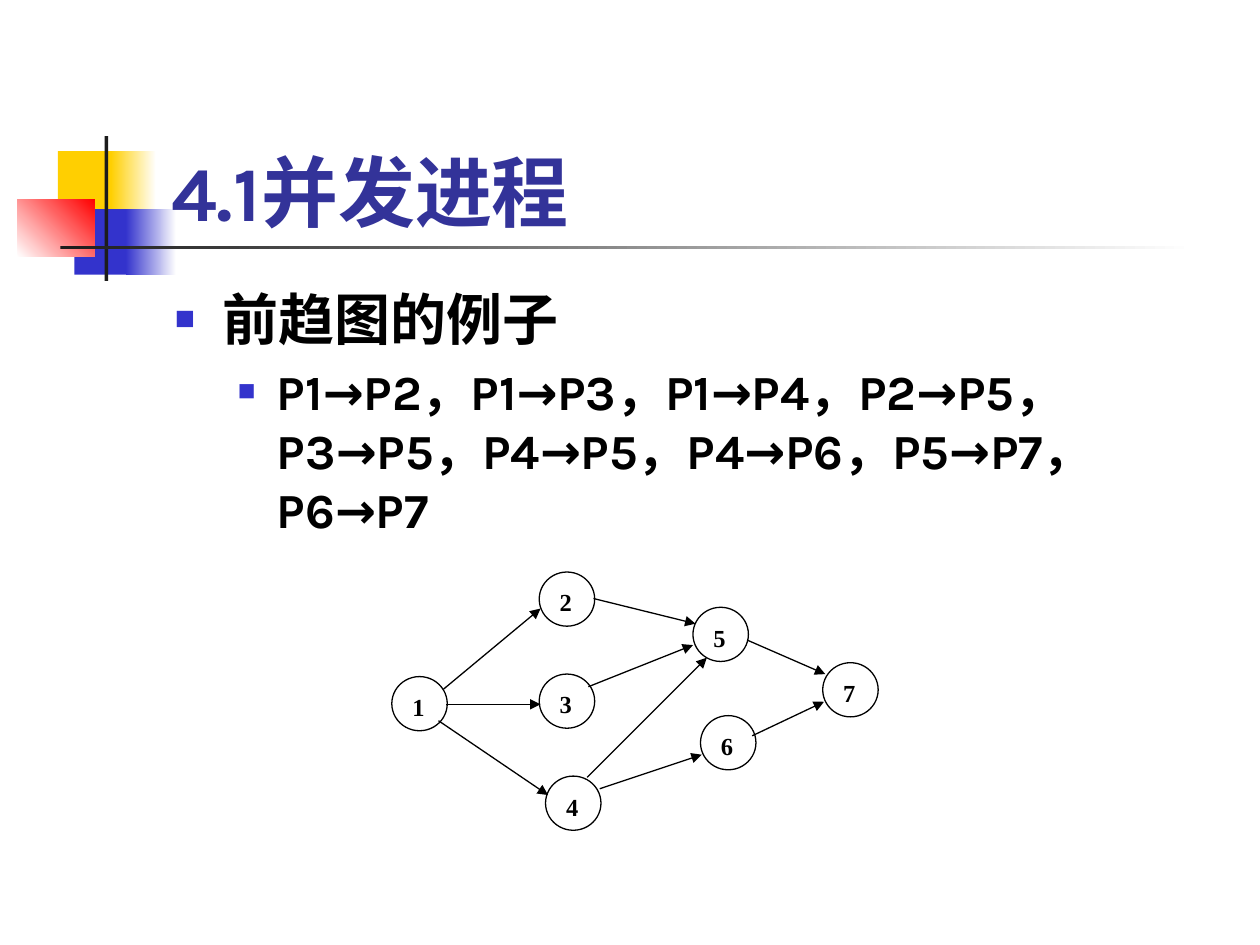
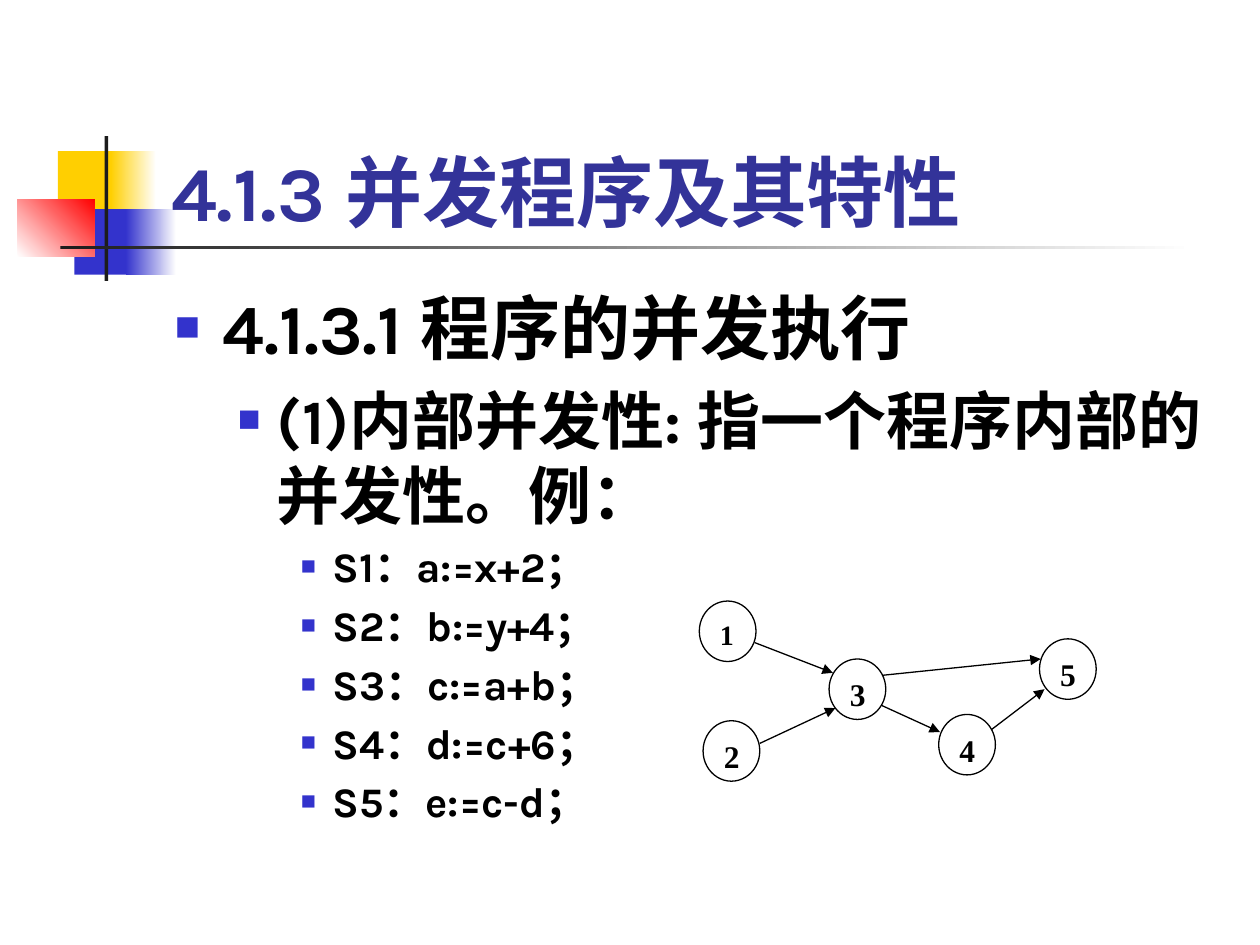
from pptx import Presentation as Deck
from pptx.dml.color import RGBColor as Rgb
from pptx.enum.shapes import MSO_CONNECTOR as Link, MSO_SHAPE as Form
from pptx.enum.text import MSO_ANCHOR as Anchor, PP_ALIGN as Align
from pptx.oxml import parse_xml as to_xml
from pptx.oxml.ns import nsdecls as ns
from pptx.util import Inches, Pt

HUES = {
    "gold": "FFCF01", "blue": "3333CC", "red": "FF0000", "ink": "1C1C1C",
    "head": "333399", "black": "000000", "white": "FFFFFF",
}
SANS, SERIF = "Karla", "Times New Roman"

# Fill is one colour, or (start, end, angle)
DECOR = [
    ((0.46, 1.2, 0.48, 0.52), "gold"),
    ((0.88, 1.2, 0.36, 0.52), ("gold", "white", 0)),
    ((0.59, 1.66, 0.46, 0.52), "blue"),
    ((1, 1.66, 0.4, 0.52), ("blue", "white", 0)),
    ((0.14, 1.58, 0.61, 0.46), ("white", "red", 45)),
    ((0.83, 1.08, 0.03, 1.15), "ink"),
    ((0.48, 1.95, 9, 0.03), ("ink", "white", 0)),
]

# Left margin and first-line indent by outline level
INDENT = [(0.38, -0.38), (0.81, -0.31), (1.25, -0.25)]

# Body lines: (level, size, text)
FLOW_TEXT = [
    (0, 32, "前趋图的例子"),
    (1, 28, "P1→P2，P1→P3，P1→P4，P2→P5，P3→P5，P4→P5，P4→P6，P5→P7，P6→P7"),
]
CODE_TEXT = [
    (0, 40, "4.1.3.1 程序的并发执行"),
    (1, 36, "(1)内部并发性: 指一个程序内部的并发性。例："),
] + [(2, 24, line) for line in (
    "S1：a:=x+2；", "S2：b:=y+4；", "S3：c:=a+b；", "S4：d:=c+6；", "S5：e:=c-d；")]

# Graph nodes: (label, left, top, text size); edges: (x1, y1, x2, y2)
FLOW_NODES = [
    ("1", 3.11, 5.37, 14), ("4", 4.33, 6.16, 14), ("3", 4.28, 5.35, 14),
    ("2", 4.28, 4.54, 14), ("6", 5.56, 5.68, 14), ("5", 5.5, 4.82, 14),
    ("7", 6.53, 5.26, 14),
]
FLOW_EDGES = [
    (3.52, 5.47, 4.29, 4.83), (3.54, 5.59, 4.29, 5.59), (3.48, 5.72, 4.35, 6.31),
    (4.76, 6.26, 5.57, 5.99), (4.67, 5.45, 5.5, 5.12), (4.71, 4.75, 5.52, 4.95),
    (5.93, 5.08, 6.55, 5.35), (5.97, 5.84, 6.54, 5.57), (4.66, 6.17, 5.61, 5.22),
]
CODE_NODES = [
    ("2", 5.58, 5.72, 18), ("1", 5.55, 4.77, 16), ("4", 7.45, 5.67, 18),
    ("3", 6.58, 5.23, 18), ("5", 8.25, 5.07, 18),
]
CODE_EDGES = [
    (7, 5.6, 7.46, 5.81), (6.03, 5.9, 6.63, 5.62), (5.99, 5.1, 6.61, 5.34),
    (7, 5.36, 8.26, 5.23), (7.87, 5.79, 8.29, 5.47),
]


def hue(name):
    return Rgb.from_string(HUES[name])


def style(item, form):
    for key, value in form.items():
        setattr(item, key, value)


def paint(shape, fill):
    """Fill a shape with a plain colour or a two-stop gradient."""
    if isinstance(fill, str):
        shape.fill.solid()
        shape.fill.fore_color.rgb = hue(fill)
        return
    *ends, angle = fill
    shape.fill.gradient()
    shape.fill.gradient_angle = angle
    for pos, (stop, name) in enumerate(zip(shape.fill.gradient_stops, ends)):
        stop.position = pos
        stop.color.rgb = hue(name)


def add_form(shapes, kind, box, fill):
    shape = shapes.add_shape(kind, *map(Inches, box))
    shape.shadow.inherit = False
    paint(shape, fill)
    return shape


def add_run(para, text, size, face, color):
    run = para.add_run()
    run.text = text
    style(run.font, {"size": Pt(size), "name": face, "bold": True})
    run.font.color.rgb = hue(color)


def add_box(slide, box, anchor):
    frame = slide.shapes.add_textbox(*map(Inches, box)).text_frame
    style(frame, {"word_wrap": True, "vertical_anchor": anchor})
    return frame


def add_mark(para, level):
    """Give a paragraph its square bullet and hanging indent."""
    props = para._p.get_or_add_pPr()
    left, hang = INDENT[level]
    props.set("marL", str(Inches(left)))
    props.set("indent", str(Inches(hang)))
    for part in (
        f'<a:buClr {ns("a")}><a:srgbClr val="{HUES["blue"]}"/></a:buClr>',
        f'<a:buSzPct {ns("a")} val="60000"/>',
        f'<a:buFont {ns("a")} typeface="{SERIF}"/>',
        f'<a:buChar {ns("a")} char="■"/>',
    ):
        props.append(to_xml(part))


def add_body(slide, lines):
    frame = add_box(slide, (1.29, 2.21, 8.5, 4.5), Anchor.TOP)
    for num, (level, size, text) in enumerate(lines):
        para = frame.add_paragraph() if num else frame.paragraphs[0]
        add_mark(para, level)
        gap = Pt(size * 0.2) if num else Pt(0)
        style(para, {"level": level, "space_before": gap})
        add_run(para, text, size, SANS, "black")


def add_node(shapes, label, box, size):
    node = add_form(shapes, Form.OVAL, box, "white")
    node.line.color.rgb = hue("black")
    node.line.width = Pt(0.75)
    style(node.text_frame, {"vertical_anchor": Anchor.TOP, "margin_top": Inches(0.06)})
    para = node.text_frame.paragraphs[0]
    para.alignment = Align.JUSTIFY
    add_run(para, label, size, SERIF, "black")


def add_edge(shapes, ends):
    edge = shapes.add_connector(Link.STRAIGHT, *map(Inches, ends))
    edge.line.color.rgb = hue("black")
    edge.line.width = Pt(0.75)
    edge.line._get_or_add_ln().append(to_xml(f'<a:tailEnd {ns("a")} type="triangle"/>'))
    edge._element.spPr.append(to_xml(f'<a:effectLst {ns("a")}/>'))


def add_graph(slide, nodes, edges, dims):
    shapes = slide.shapes.add_group_shape().shapes
    for label, left, top, size in nodes:
        add_node(shapes, label, (left, top, *dims), size)
    for ends in edges:
        add_edge(shapes, ends)


def add_page(deck, title):
    """Start a slide with the shared decoration and title."""
    slide = deck.slides.add_slide(deck.slide_layouts[6])
    for box, fill in DECOR:
        add_form(slide.shapes, Form.RECTANGLE, box, fill).line.fill.background()
    frame = add_box(slide, (1.26, 0.68, 8.52, 1.25), Anchor.BOTTOM)
    add_run(frame.paragraphs[0], title, 44, SANS, "head")
    return slide


def main():
    deck = Deck()
    style(deck, {"slide_width": Inches(10), "slide_height": Inches(7.5)})

    # Precedence graph
    slide = add_page(deck, "4.1并发进程")
    add_body(slide, FLOW_TEXT)
    add_graph(slide, FLOW_NODES, FLOW_EDGES, (0.44, 0.43))

    # Concurrent statements
    slide = add_page(deck, "4.1.3 并发程序及其特性")
    add_body(slide, CODE_TEXT)
    add_graph(slide, CODE_NODES, CODE_EDGES, (0.45, 0.48))

    deck.save("out.pptx")


if __name__ == "__main__":
    main()
